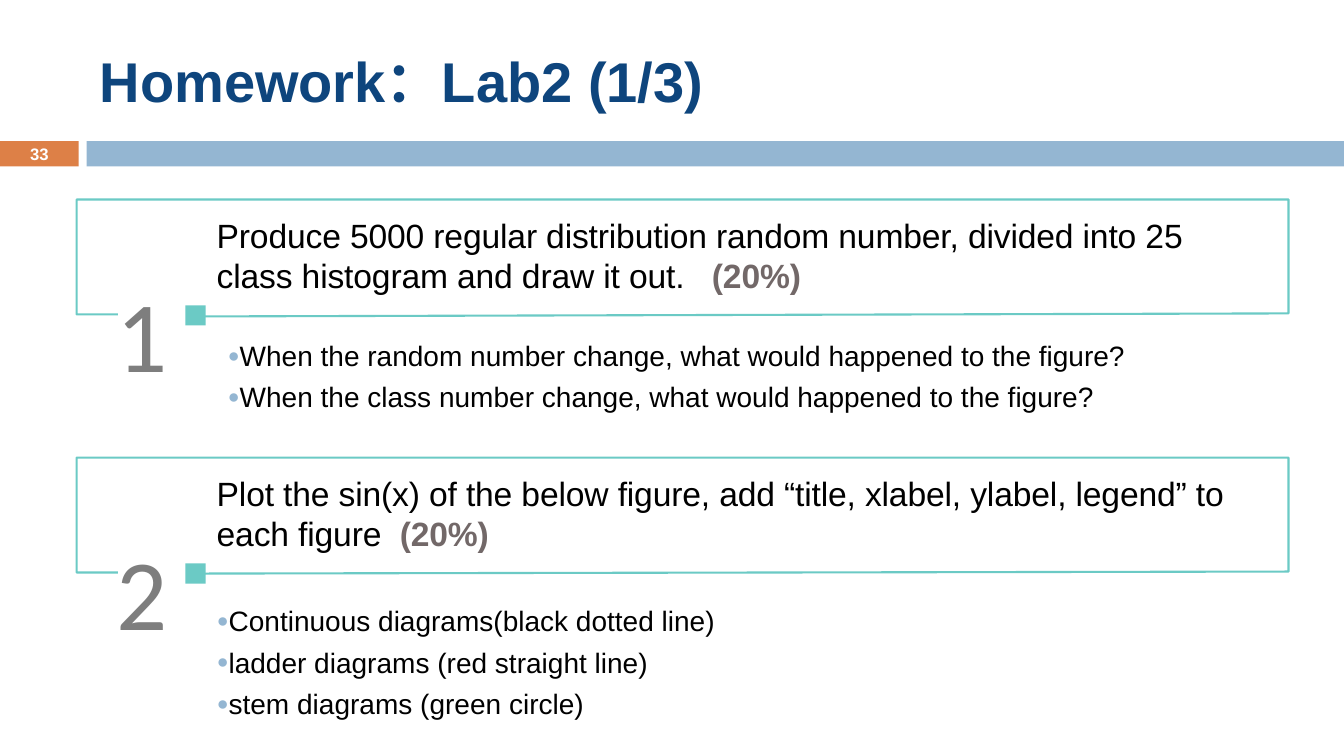
import pptx
import pptx.dml.color
import pptx.enum.shapes
import pptx.enum.text
import pptx.oxml
import pptx.oxml.ns
import pptx.util

Inches = pptx.util.Inches
Pt = pptx.util.Pt
RECTANGLE = pptx.enum.shapes.MSO_SHAPE.RECTANGLE
MIDDLE = pptx.enum.text.MSO_ANCHOR.MIDDLE
ALIGN = pptx.enum.text.PP_ALIGN

TEAL, BLUE, ORANGE = "6BCAC5", "94B6D2", "DD8047"
NAVY, GRAY, BROWN = "0E457D", "7E7E7E", "726868"
BLACK, WHITE = "000000", "FFFFFF"


def color(value):
    return pptx.dml.color.RGBColor.from_string(value)


class HomeworkSlide:
    font = "Arial"

    def __init__(self, deck):
        self.page = deck.slides.add_slide(deck.slide_layouts[5])

    def style(self, span, size, fill, bold=False, font=None, spacing=None):
        span.font.name = font or self.font
        span.font.size = Pt(size)
        span.font.bold = bold
        span.font.color.rgb = color(fill)
        if spacing is not None:
            span._r.get_or_add_rPr().set("spc", str(spacing))

    def title(self, text):
        box = self.page.shapes.title
        box.left, box.top = Inches(0.89), Inches(0.25)
        box.width, box.height = Inches(11.89), Inches(1.08)
        frame = box.text_frame
        frame.text = text
        frame.vertical_anchor = MIDDLE
        frame.paragraphs[0].alignment = ALIGN.LEFT
        self.style(frame.paragraphs[0].runs[0], 40, NAVY, bold=True)

    def block(self, left, top, width, height, fill):
        box = self.page.shapes.add_shape(
            RECTANGLE, Inches(left), Inches(top), Inches(width), Inches(height))
        box.shadow.inherit = False
        box.fill.solid()
        box.fill.fore_color.rgb = color(fill)
        box.line.fill.background()

    def text_box(self, left, top, width, height, inset=0):
        box = self.page.shapes.add_textbox(
            Inches(left), Inches(top), Inches(width), Inches(height))
        frame = box.text_frame
        frame.word_wrap = True
        frame.margin_left = frame.margin_right = Inches(inset)
        frame.margin_top = frame.margin_bottom = Inches(inset / 2)
        return frame

    def page_number(self, number):
        frame = self.text_box(0, 1.39, 0.78, 0.27, inset=0.1)
        frame.text = number
        frame.vertical_anchor = MIDDLE
        frame.paragraphs[0].alignment = ALIGN.CENTER
        self.style(frame.paragraphs[0].runs[0], 11.9, WHITE, bold=True)

    def outline(self, top, tail_left, tail_drop):
        points = [(0.76, top + 1.14), (0.76, top), (12.78, top),
                  (12.78, top + 1.13), (tail_left, top + tail_drop)]
        builder = self.page.shapes.build_freeform(
            Inches(1.17), Inches(top + 1.14), scale=1.0)
        builder.add_line_segments(
            [(Inches(x), Inches(y)) for x, y in points], close=False)
        box = builder.convert_to_shape()
        box.shadow.inherit = False
        box.fill.background()
        box.line.color.rgb = color(TEAL)
        box.line.width = Pt(1.5)

    def task(self, top, number, question, score, tail_left, tail_drop):
        self.block(1.84, top + 1.05, 0.2, 0.2, TEAL)

        frame = self.text_box(1.16, top + 0.72, 0.53, 1.21)
        frame.text = number
        self.style(frame.paragraphs[0].runs[0], 72, GRAY,
                   font="Calibri", spacing=-40)

        frame = self.text_box(2.15, top + 0.15, 10.34, 0.81)
        frame.text = question
        para = frame.paragraphs[0]
        self.style(para.runs[0], 24, BLACK, spacing=-10)
        span = para.add_run()
        span.text = score
        self.style(span, 24, BROWN, bold=True, spacing=-10)

        self.outline(top, tail_left, tail_drop)

    def bullets(self, left, top, height, items):
        frame = self.text_box(left, top, 9.45, height)
        frame.text = "\n".join(items)
        for para in frame.paragraphs:
            para.level = 1
            para.space_before = Pt(5.5)
            self.style(para.runs[0], 20, BLACK)
            properties = para._p.get_or_add_pPr()
            properties.set("marL", "0")
            properties.set("indent", str(Inches(-0.3)))
            namespace = pptx.oxml.ns.nsdecls("a")
            for markup in (
                    f'<a:buClr {namespace}><a:srgbClr val="{BLUE}"/></a:buClr>',
                    f'<a:buSzPct {namespace} val="70000"/>',
                    f'<a:buFont {namespace} typeface="{self.font}"/>',
                    f'<a:buChar {namespace} char="●"/>'):
                properties.append(pptx.oxml.parse_xml(markup))


def main():
    deck = pptx.Presentation()
    deck.slide_width, deck.slide_height = Inches(13.33), Inches(7.5)
    slide = HomeworkSlide(deck)
    slide.block(0, 1.4, 0.78, 0.25, ORANGE)
    slide.block(0.86, 1.4, 12.47, 0.25, BLUE)
    slide.title("Homework：Lab2 (1/3)")
    slide.page_number("33")
    slide.task(1.98, "1",
               "Produce 5000 regular distribution random number, divided into "
               "25 class histogram and draw it out.   ", "(20%)", 1.95, 1.16)
    slide.bullets(2.26, 3.36, 0.76, [
        "When the random number change, what would happened to the figure?",
        "When the class number change, what would happened to the figure?"])
    slide.task(4.54, "2",
               "Plot the sin(x) of the below figure, add “title, xlabel, "
               "ylabel, legend” to each figure  ", "(20%)", 1.99, 1.15)
    slide.bullets(2.15, 5.99, 1.18, [
        "Continuous diagrams(black dotted line)",
        "ladder diagrams (red straight line)",
        "stem diagrams (green circle)"])
    deck.save("out.pptx")


if __name__ == "__main__":
    main()
